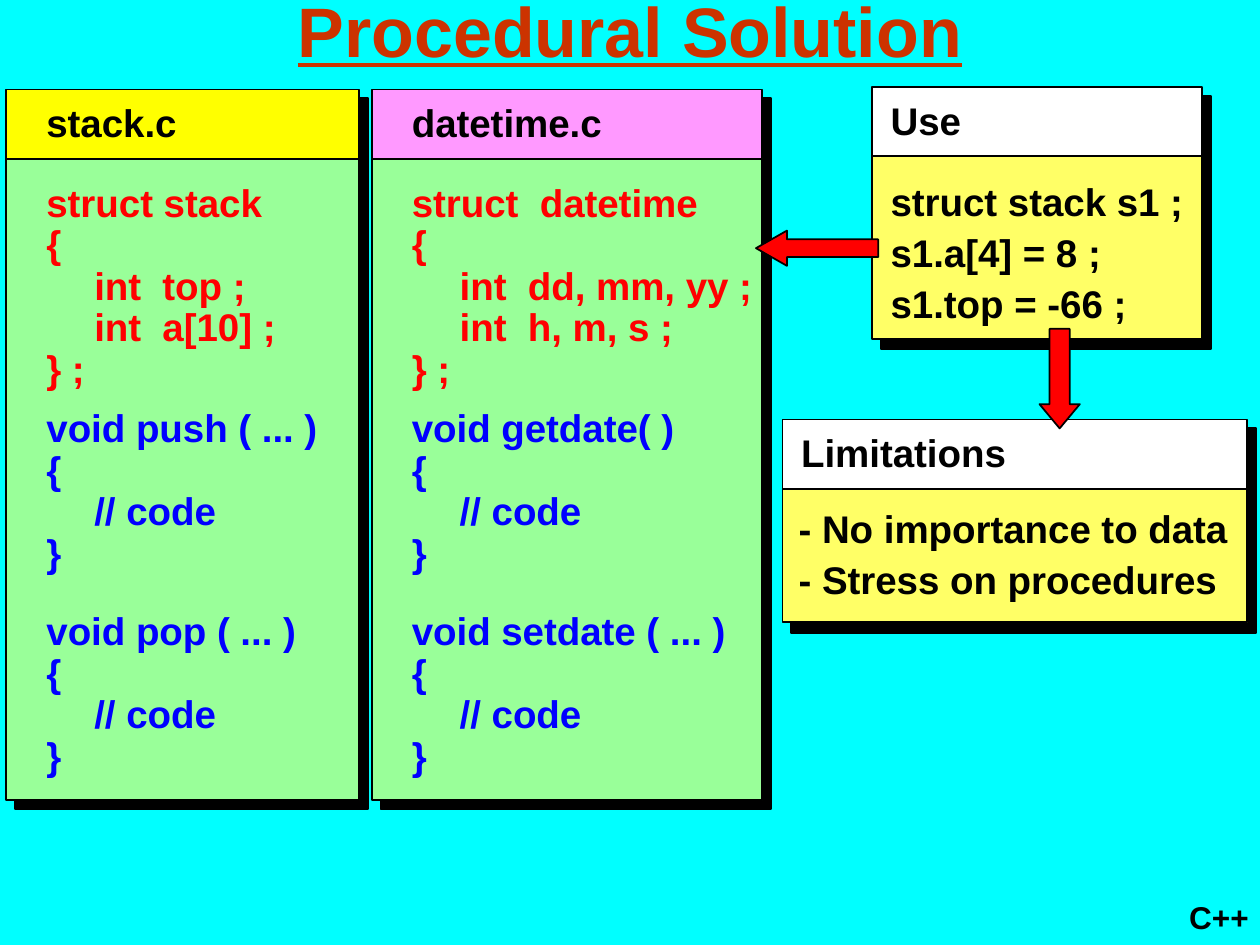
from lxml.etree import SubElement
from pptx import Presentation
from pptx.dml.color import RGBColor
from pptx.enum.shapes import MSO_SHAPE
from pptx.enum.text import MSO_ANCHOR, PP_ALIGN
from pptx.oxml.ns import qn
from pptx.util import Inches, Pt

BLACK, WHITE, RED, BLUE = "000000", "FFFFFF", "FF0000", "0000FF"
GREEN, YELLOW, PINK, PALE_YELLOW = "99FF99", "FFFF00", "FF99FF", "FFFF66"


def add_block(shapes, kind, bounds, color, shadow=None):
    """Add a filled, outlined shape; shadow is (distance in points, angle in degrees)."""
    block = shapes.add_shape(kind, *[Inches(value) for value in bounds])
    block.fill.solid()
    block.fill.fore_color.rgb = RGBColor.from_string(color)
    block.line.color.rgb = RGBColor.from_string(BLACK)
    block.line.width = Pt(1)
    block.shadow.inherit = False
    if shadow:
        distance, angle = shadow
        effects = block._element.spPr.find(qn("a:effectLst"))
        outer = SubElement(effects, qn("a:outerShdw"), dist=str(Pt(distance)),
                           dir=str(angle * 60000), algn="ctr", rotWithShape="0")
        SubElement(outer, qn("a:srgbClr"), val=BLACK)
    return block


def add_text(shapes, bounds, text, color=BLACK, size=22, spacing=0.9):
    """Add bold text, with a tab stop for the indented code lines."""
    box = shapes.add_textbox(*[Inches(value) for value in bounds])
    box.text_frame.word_wrap = True
    box.text_frame.text = text
    for paragraph in box.text_frame.paragraphs:
        paragraph.line_spacing = spacing
        if "\t" in paragraph.text:
            tabs = SubElement(paragraph._p.get_or_add_pPr(), qn("a:tabLst"))
            SubElement(tabs, qn("a:tab"), pos=str(Inches(0.38)), algn="l")
        for span in paragraph.runs:
            span.font.name = "Arial"
            span.font.size = Pt(size)
            span.font.bold = True
            span.font.color.rgb = RGBColor.from_string(color)
    return box


deck = Presentation()
deck.slide_width, deck.slide_height = Inches(10), Inches(7.5)
page = deck.slides.add_slide(deck.slide_layouts[6])
page.background.fill.solid()
page.background.fill.fore_color.rgb = RGBColor.from_string("00FFFF")

title = add_text(page.shapes, (0.75, -0.39, 8.5, 1.25), "Procedural Solution",
                 "CC3300", 40, 1.0)
title.text_frame.vertical_anchor = MSO_ANCHOR.MIDDLE
title_line = title.text_frame.paragraphs[0]
title_line.alignment = PP_ALIGN.CENTER
title_line.runs[0].font.underline = True

# Heading, left, top, width, header height, body height, colours, text inset,
# heading width, body shadow
panels = [
    ("datetime.c", 2.95, 0.71, 3.1, 1.04, 5.09, PINK, GREEN, 0.22, 1.75, (7.1, 45)),
    ("stack.c", 0.05, 0.71, 2.8, 1.04, 5.09, YELLOW, GREEN, 0.22, 1.27, (7.1, 45)),
    ("Use", 6.92, 0.69, 2.62, 1.78, 1.45, WHITE, PALE_YELLOW, 0.05, 0.8, (7.8, 50)),
    ("Limitations", 6.21, 3.33, 3.69, 0.95, 1.06, WHITE, PALE_YELLOW, 0.05, 1.86, (7.8, 50)),
]
groups = {}
for (heading, left, top, width, header_height, body_height, header_color,
     body_color, inset, heading_width, body_shadow) in panels:
    group = page.shapes.add_group_shape()
    groups[heading] = group
    add_block(group.shapes, MSO_SHAPE.RECTANGLE, (left, top, width, header_height),
              header_color, (7.1, 45))
    add_block(group.shapes, MSO_SHAPE.RECTANGLE, (left, top + 0.55, width, body_height),
              body_color, body_shadow)
    add_text(group.shapes, (left + inset, top + 0.07, heading_width, 0.43), heading)

arrows = [
    ("Use", MSO_SHAPE.LEFT_ARROW, (6, 1.83, 0.97, 0.28), 0.88),
    ("Limitations", MSO_SHAPE.DOWN_ARROW, (8.25, 2.61, 0.32, 0.79), 0.6),
]
for heading, kind, bounds, head_length in arrows:
    arrow = add_block(groups[heading].shapes, kind, bounds, RED)
    arrow.adjustments[0] = 0.5
    arrow.adjustments[1] = head_length

# Left edge, then the struct and the two functions with their box widths
sources = [
    (3.17, ("struct  datetime", "int  dd, mm, yy ;", "int  h, m, s ;", 3.2),
     [("void getdate( )", 2.32), ("void setdate ( ... )", 2.73)]),
    (0.27, ("struct stack", "int  top ;", "int  a[10] ;", 2.07),
     [("void push ( ... )", 2.39), ("void pop ( ... )", 2.22)]),
]
for left, (name, first, second, width), functions in sources:
    add_text(page.shapes, (left, 1.41, width, 1.75),
             f"{name}\n{{\n\t{first}\n\t{second}\n}} ;", RED)
    for row, (signature, width) in enumerate(functions):
        add_text(page.shapes, (left, 3.2 + 1.61 * row, width, 1.42),
                 f"{signature}\n{{\n\t// code\n}}", BLUE)

add_text(page.shapes, (6.97, 1.33, 2.56, 1.31),
         "struct stack s1 ;\ns1.a[4] = 8 ;\ns1.top = -66 ;", spacing=1.1)
add_text(page.shapes, (6.24, 3.92, 3.64, 0.91),
         "- No importance to data\n- Stress on procedures", spacing=1.1)
add_text(page.shapes, (9.34, 7.08, 0.7, 0.4), "C++", size=18, spacing=1.0)

deck.save("out.pptx")
